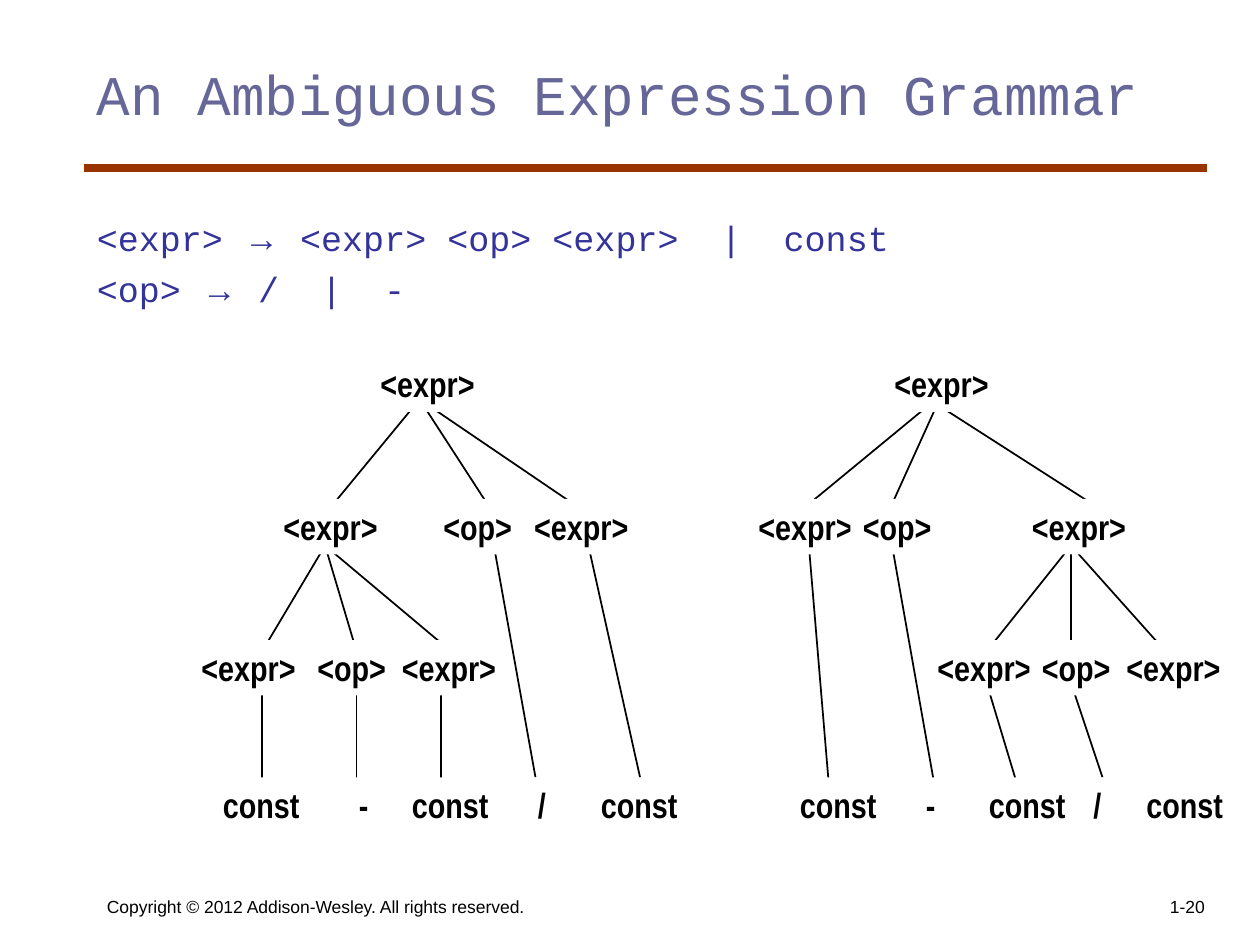
import pptx
import pptx.util
import pptx.dml.color
import pptx.enum.shapes
import pptx.enum.text
import pptx.oxml

Inches, Pt = pptx.util.Inches, pptx.util.Pt
Align, Anchor = pptx.enum.text.PP_ALIGN, pptx.enum.text.MSO_ANCHOR

BLACK, WHITE = "000000", "FFFFFF"
NODE_WIDTHS = {"<expr>": 0.95, "<op>": 0.74, "const": 0.81, "-": 0.27, "/": 0.26}

# Top of each tree level, then the left edges of its symbols
LEVELS = [
    (2.83, {"<expr>": [2.92, 7]}),
    (3.96, {"<expr>": [2.15, 4.14, 5.92, 8.09], "<op>": [3.42, 6.75]}),
    (5.08, {"<expr>": [1.5, 3.09, 7.34, 8.84], "<op>": [2.42, 8.17]}),
    (6.17, {"const": [1.67, 3.17, 4.67, 6.25, 7.75, 9],
            "-": [2.75, 7.25], "/": [4.17, 8.58]}),
]

# Start and end height of a group of branches, then their (start x, end x)
BRANCHES = [
    (3.17, 4.08, [(3.33, 2.58), (3.33, 4.67), (3.33, 3.92)]),
    (3.25, 4, [(7.33, 6.42), (7.5, 8.67), (7.42, 7.08)]),
    (4.33, 5.17, [(2.58, 2.08), (2.58, 3.58), (2.58, 2.83),
                  (8.5, 7.83), (8.5, 9.25), (8.5, 8.5)]),
    (4.33, 6.17, [(3.92, 4.25), (4.67, 5.08)]),
    (4.33, 6.25, [(6.42, 6.58), (7.08, 7.42)]),
    (5.42, 6.25, [(2.08, 2.08), (2.83, 2.83), (3.5, 3.5), (7.83, 8.08)]),
    (5.42, 6.17, [(8.5, 8.75)]),
]


def rgb(color):
    return pptx.dml.color.RGBColor.from_string(color)


def style(r, size, font, color, bold=False):
    r.font.size = Pt(size)
    r.font.name = font
    r.font.bold = bold
    r.font.color.rgb = rgb(color)


def add_text(s, box, text, size, font, color, align=Align.LEFT, anchor=Anchor.TOP):
    tf = s.shapes.add_textbox(*map(Inches, box)).text_frame
    tf.word_wrap = True
    tf.vertical_anchor = anchor
    tf.text = text
    p = tf.paragraphs[0]
    p.alignment = align
    style(p.runs[0], size, font, color)


def add_rules(s, box, rules):
    tf = s.shapes.add_textbox(*map(Inches, box)).text_frame
    tf.word_wrap = True
    for i, (left, right) in enumerate(rules):
        p = tf.add_paragraph() if i else tf.paragraphs[0]
        if i:
            p.space_before = Pt(5)
        pPr = p._p.get_or_add_pPr()
        pPr.set("marL", str(Inches(0.38)))
        pPr.set("indent", str(-Inches(0.38)))
        for text, font in ((left + " ", "Courier New"), ("→", "Arial"),
                           (" " + right, "Courier New")):
            r = p.add_run()
            r.text = text
            style(r, 20, font, "333399")


def add_line(s, x1, y1, x2, y2, color, width):
    line = s.shapes.add_connector(pptx.enum.shapes.MSO_CONNECTOR.STRAIGHT,
                                  *map(Inches, (x1, y1, x2, y2)))
    line.line.color.rgb = rgb(color)
    line.line.width = Pt(width)
    line._element.spPr.append(pptx.oxml.parse_xml(
        '<a:effectLst xmlns:a="http://schemas.openxmlformats.org/drawingml/2006/main"/>'))


def add_node(s, text, left, top):
    sp = s.shapes.add_shape(pptx.enum.shapes.MSO_SHAPE.RECTANGLE,
                            *map(Inches, (left, top, NODE_WIDTHS[text], 0.44)))
    sp.shadow.inherit = False
    sp.fill.solid()
    sp.fill.fore_color.rgb = rgb(WHITE)
    sp.line.fill.background()
    tf = sp.text_frame
    tf.text = text
    tf.word_wrap = False
    tf.auto_size = pptx.enum.text.MSO_AUTO_SIZE.SHAPE_TO_FIT_TEXT
    tf.vertical_anchor = Anchor.TOP
    tf.margin_right = Inches(0.05)  # spare room keeps the symbol on one line
    p = tf.paragraphs[0]
    p.alignment = Align.LEFT
    style(p.runs[0], 20, "Arial Narrow", BLACK, bold=True)


def main():
    prs = pptx.Presentation()
    prs.slide_width, prs.slide_height = Inches(10), Inches(7.5)
    s = prs.slides.add_slide(prs.slide_layouts[6])

    # Rule under the title and footer
    add_line(s, 0.67, 1.33, 9.58, 1.33, "993300", 4.5)
    add_text(s, (0.75, 6.83, 4.58, 0.5),
             "Copyright © 2012 Addison-Wesley. All rights reserved.",
             10, "Arial", BLACK, anchor=Anchor.BOTTOM)
    add_text(s, (7.58, 6.83, 2.08, 0.5), "1-20", 10, "Arial", BLACK,
             align=Align.RIGHT, anchor=Anchor.BOTTOM)

    # Title and grammar
    add_text(s, (0.67, 0.42, 8.92, 1.25), "An Ambiguous Expression Grammar",
             32, "Courier New", "666699")
    add_rules(s, (0.67, 1.67, 8.17, 5.17),
              [("<expr>", "<expr> <op> <expr>  |  const"), ("<op>", "/  |  -")])

    # Parse trees: the symbols cover the ends of the branches
    for y1, y2, ends in BRANCHES:
        for x1, x2 in ends:
            add_line(s, x1, y1, x2, y2, BLACK, 1)
    for top, symbols in LEVELS:
        for text, lefts in symbols.items():
            for left in lefts:
                add_node(s, text, left, top)

    prs.save("out.pptx")


if __name__ == "__main__":
    main()
